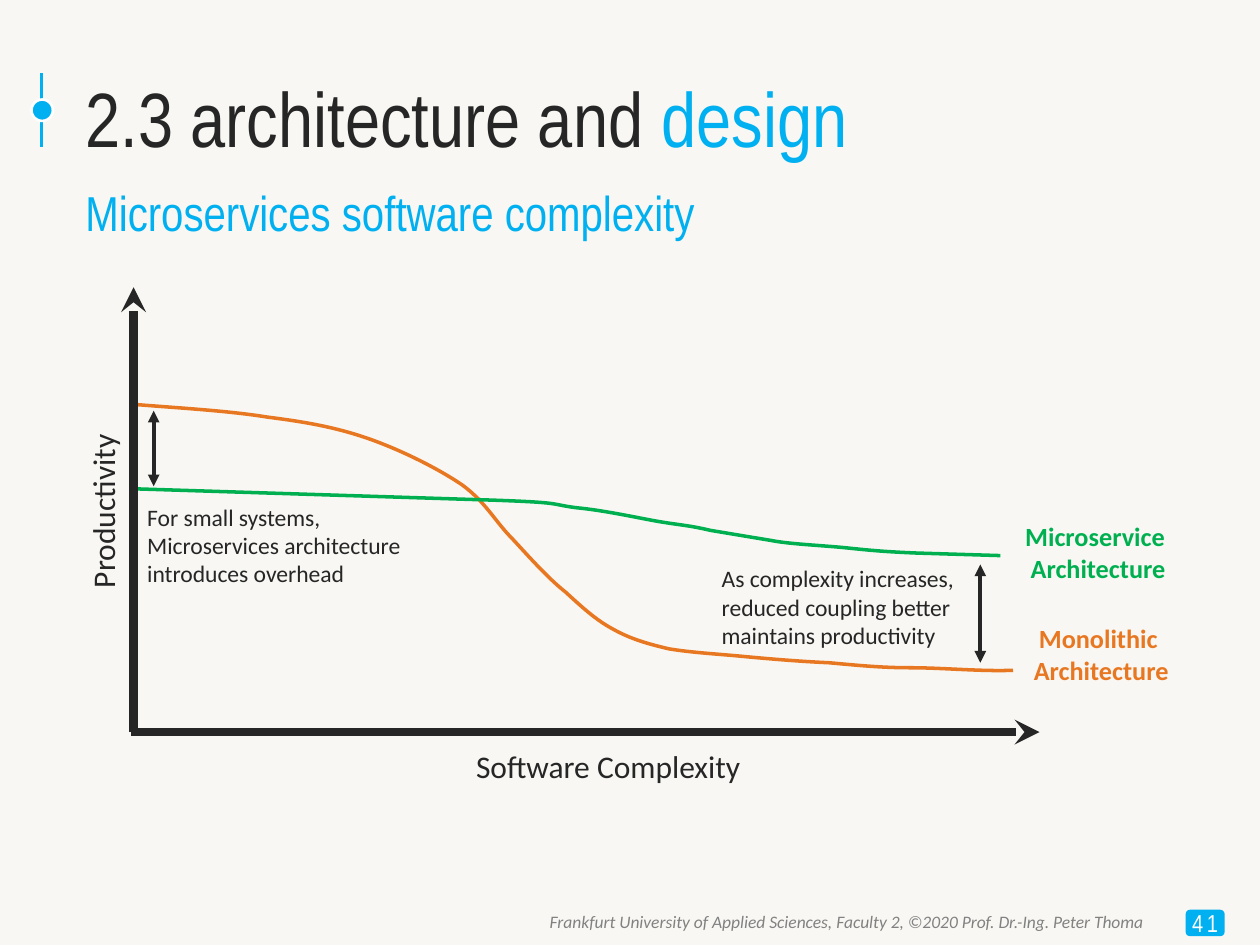
import dataclasses

import pptx
import pptx.dml.color
import pptx.enum.shapes
import pptx.enum.text
import pptx.oxml.ns
import pptx.util
from lxml import etree

SHAPE = pptx.enum.shapes.MSO_SHAPE
ALIGN = pptx.enum.text.PP_ALIGN
ANCHOR = pptx.enum.text.MSO_ANCHOR
AUTOSIZE = pptx.enum.text.MSO_AUTO_SIZE
qn = pptx.oxml.ns.qn


@dataclasses.dataclass(frozen=True)
class Theme:
    paper: str = "F8F7F3"
    ink: str = "262626"
    accent: str = "00B0F0"
    muted: str = "818181"
    white: str = "FFFFFF"
    mono: str = "E87722"
    micro: str = "00B050"
    head: str = "Arial Narrow"
    body: str = "Calibri"
    title: float = 44
    subtitle: float = 28
    axis: float = 18
    label: float = 15
    note: float = 13.5
    number: float = 14
    footer: float = 10


def rgb(code):
    return pptx.dml.color.RGBColor.from_string(code)


class Deck:
    """Draws on a grid of 100 columns by 75 rows."""

    def __init__(self, theme):
        self.theme = theme
        self.prs = pptx.Presentation()
        self.prs.slide_width = pptx.util.Inches(10)
        self.prs.slide_height = pptx.util.Inches(7.5)
        self.cell = self.prs.slide_width // 100
        self.s = self.prs.slides.add_slide(self.prs.slide_layouts[6])
        fill = self.s.background.fill
        fill.solid()
        fill.fore_color.rgb = rgb(theme.paper)

    def grid(self, *cells):
        return [round(c * self.cell) for c in cells]

    def set_text(self, sp, paragraphs, size, font, align=ALIGN.LEFT,
                 bold=False, italic=False, **frame):
        """Fill a shape; each paragraph is a list of (text, colour) runs."""
        tf = sp.text_frame
        for name, value in {"word_wrap": True, **frame}.items():
            setattr(tf, name, value)
        for i, runs in enumerate(paragraphs):
            p = tf.add_paragraph() if i else tf.paragraphs[0]
            p.alignment = align
            for text, color in runs:
                r = p.add_run()
                r.text = text
                style = {"size": pptx.util.Pt(size), "name": font,
                         "bold": bold, "italic": italic}
                for name, value in style.items():
                    setattr(r.font, name, value)
                r.font.color.rgb = rgb(color)

    def text(self, box, paragraphs, size, font, **style):
        sp = self.s.shapes.add_textbox(*self.grid(*box))
        self.set_text(sp, paragraphs, size, font, **style)
        return sp

    def caption(self, box, lines, size, color, **style):
        """Unwrapped body text in one colour."""
        return self.text(box, [[(line, color)] for line in lines], size,
                         self.theme.body, word_wrap=False,
                         auto_size=AUTOSIZE.SHAPE_TO_FIT_TEXT, **style)

    def shape(self, kind, box, fill, line=None):
        sp = self.s.shapes.add_shape(kind, *self.grid(*box))
        sp.shadow.inherit = False
        sp.fill.solid()
        sp.fill.fore_color.rgb = rgb(fill)
        if line:
            self.outline(sp, line, 1.5)
        else:
            sp.line.fill.background()
        return sp

    def outline(self, sp, color, width):
        sp.line.color.rgb = rgb(color)
        sp.line.width = pptx.util.Pt(width)

    def line(self, start, end, color, width, **arrows):
        """Straight line; arrows maps headEnd or tailEnd to an arrow type."""
        sp = self.s.shapes.add_connector(
            pptx.enum.shapes.MSO_CONNECTOR.STRAIGHT,
            *self.grid(*start, *end))
        self.outline(sp, color, width)
        ln = sp._element.spPr.find(qn("a:ln"))
        for end_name, kind in arrows.items():
            etree.SubElement(ln, qn("a:" + end_name), type=kind)
        etree.SubElement(sp._element.spPr, qn("a:effectLst"))

    def curve(self, points, color):
        """Bézier curve: a start, then two controls and an end per piece."""
        points = [self.grid(*pt) for pt in points]
        builder = self.s.shapes.build_freeform(*points[0])
        builder.add_line_segments(points[1:], close=False)
        sp = builder.convert_to_shape()
        sp.shadow.inherit = False
        sp.fill.background()
        self.outline(sp, color, 2)
        outline = next(sp._element.iter(qn("a:path")))
        steps = outline.findall(qn("a:lnTo"))
        for i in range(0, len(steps), 3):
            bezier = etree.SubElement(outline, qn("a:cubicBezTo"))
            for step in steps[i:i + 3]:
                bezier.append(step[0])
                outline.remove(step)


MONOLITH = [
    (10.7, 32.1), (14.4, 32.4), (18.1, 32.6), (21.2, 33.1),
    (24.3, 33.5), (26.6, 33.9), (29.2, 34.8),
    (31.8, 35.7), (34.8, 37.2), (36.7, 38.5),
    (38.6, 39.9), (39.3, 41.4), (40.7, 42.8),
    (42, 44.2), (43.5, 45.9), (44.9, 47),
    (46.2, 48.2), (47.3, 49.2), (48.6, 49.9),
    (50, 50.7), (51.4, 51.1), (53.1, 51.5),
    (54.9, 51.8), (56.9, 51.9), (59, 52.1),
    (61.1, 52.3), (63.5, 52.5), (65.8, 52.6),
    (68, 52.8), (69.9, 53), (72.3, 53),
    (74.8, 53), (77.9, 53.3), (80.4, 53.2),
]
MICROSERVICE = [
    (10.7, 38.8), (10.7, 38.8), (39.1, 39.7), (39.1, 39.7),
    (44.8, 39.9), (43.5, 40), (45.7, 40.3),
    (47.9, 40.5), (50.6, 41.1), (52.3, 41.4),
    (54.1, 41.7), (54.7, 41.7), (56.4, 42.1),
    (56.4, 42.1), (61.2, 42.9), (61.2, 42.9),
    (62.7, 43.2), (65.4, 43.3), (67.3, 43.5),
    (69.2, 43.7), (70.3, 43.8), (72.8, 43.9),
    (72.8, 43.9), (79.4, 44.1), (79.4, 44.1),
]


def main():
    t = Theme()
    d = Deck(t)

    d.line((3.3, 5.8), (3.3, 11.7), t.accent, 1.5)
    d.shape(SHAPE.OVAL, (2.5, 7.9, 1.7, 1.7), t.accent, t.white)
    d.text((12.2, 71.8, 79.5, 2.7),
           [[("Frankfurt University of Applied Sciences, Faculty 2, "
              "©2020 Prof. Dr.-Ing. Peter Thoma", t.muted)]],
           t.footer, t.body, align=ALIGN.RIGHT, italic=True)
    badge = d.shape(SHAPE.ROUNDED_RECTANGLE, (94.1, 72.2, 3.1, 2.1), t.accent)
    d.set_text(badge, [[("41", t.white)]], t.number, t.head,
               align=ALIGN.CENTER, word_wrap=False,
               vertical_anchor=ANCHOR.MIDDLE, margin_left=0, margin_right=0)
    badge.text_frame.paragraphs[0].runs[0].font._element.set("spc", "200")

    d.text((5.8, 3, 93, 12.5),
           [[("2.3 architecture and ", t.ink), ("design", t.accent)]],
           t.title, t.head, vertical_anchor=ANCHOR.MIDDLE)
    d.text((5.8, 14, 89.2, 44.1),
           [[("Microservices software complexity", t.accent)]],
           t.subtitle, t.head)

    d.line((10.4, 58.1), (82.5, 58.1), t.ink, 4.75, tailEnd="stealth")
    d.curve(MONOLITH, t.mono)
    d.curve(MICROSERVICE, t.micro)
    d.line((10.6, 58.1), (10.6, 22.8), t.ink, 4.75, tailEnd="stealth")
    for x, top, bottom in ((12.2, 32.6, 38.6), (77.8, 44.8, 52.6)):
        d.line((x, top), (x, bottom), t.ink, 2.25,
               headEnd="triangle", tailEnd="triangle")

    productivity = d.caption((1, 38.5, 14.3, 4), ["Productivity"],
                             t.axis, t.ink)
    productivity.rotation = 270
    d.caption((36.8, 58.8, 23.3, 4), ["Software Complexity"], t.axis, t.ink)
    for box, name, color in (
            ((81, 48.9, 12.8, 6.1), "Monolithic ", t.mono),
            ((80.3, 40.8, 13.7, 6.1), "Microservice ", t.micro)):
        d.caption(box, [name, "Architecture"], t.label, color,
                  align=ALIGN.CENTER, bold=True)
    d.caption((10.7, 39.4, 22.9, 10.1),
              ["For small systems,", "Microservices architecture",
               "introduces overhead"], t.note, t.ink)
    d.caption((56.3, 44.3, 20.7, 10.1),
              ["As complexity increases,", "reduced coupling better",
               "maintains productivity"], t.note, t.ink)

    d.prs.save("out.pptx")


if __name__ == "__main__":
    main()
